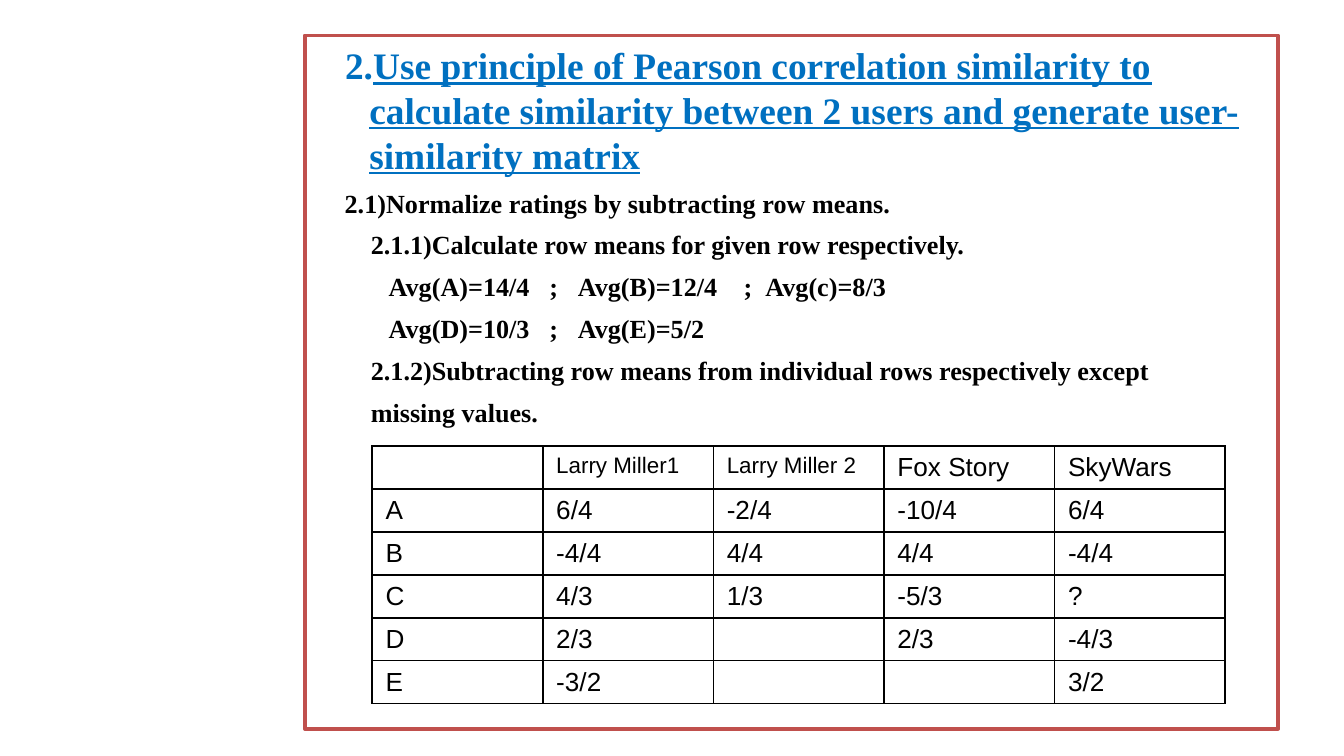
"""Build a slide on user similarity with a table of normalized ratings."""
import dataclasses
import typing

import lxml.etree
import pptx
import pptx.dml.color
import pptx.enum.shapes
import pptx.enum.text
import pptx.oxml.ns
import pptx.util

Pt = pptx.util.Pt
qn = pptx.oxml.ns.qn


@dataclasses.dataclass(frozen=True)
class Theme:
    heading_font: str = "Times New Roman"
    table_font: str = "Arial"
    heading_color: str = "0070C0"
    text_color: str = "000000"
    frame_color: str = "C0504D"
    heading_size: float = 20
    body_size: float = 14
    small_size: float = 12
    frame_width: float = 2
    border_width: float = 1
    space_before: float = 5.6
    line_spacing: float = 1.0


@dataclasses.dataclass(frozen=True)
class Box:
    left: float
    top: float
    width: float
    height: float

    def lengths(self) -> list[pptx.util.Length]:
        return [Pt(value) for value in dataclasses.astuple(self)]


@dataclasses.dataclass(frozen=True)
class Step:
    text: str
    indent: float
    extra_gaps: tuple[float, ...] = ()


THEME = Theme()
FRAME = Box(163.4, 19, 521.3, 371.5)
TABLE = Box(199.4, 239, 457, 138)
HEADING_MARGIN, HEADING_INDENT = 27.4, -13
LEVEL_INDENTS = (14.2, 28.2, 37.8)
HEADING_NUMBER = "2."
HEADING = (
    "Use principle of Pearson correlation similarity to calculate similarity "
    "between 2 users and generate user-similarity matrix"
)
STEPS = (
    Step("2.1)Normalize ratings by subtracting row means.", LEVEL_INDENTS[0]),
    Step("2.1.1)Calculate row means for given row respectively.", LEVEL_INDENTS[1]),
    Step("Avg(A)=14/4 ; Avg(B)=12/4 ; Avg(c)=8/3", LEVEL_INDENTS[2], (7, 7, 10.5, 3.5)),
    Step("Avg(D)=10/3 ; Avg(E)=5/2", LEVEL_INDENTS[2], (7, 7)),
    Step("2.1.2)Subtracting row means from individual rows respectively except", LEVEL_INDENTS[1]),
    Step("missing values.", LEVEL_INDENTS[1]),
)
RATINGS = (
    ("", "Larry Miller1", "Larry Miller 2", "Fox Story", "SkyWars"),
    ("A", "6/4", "-2/4", "-10/4", "6/4"),
    ("B", "-4/4", "4/4", "4/4", "-4/4"),
    ("C", "4/3", "1/3", "-5/3", "?"),
    ("D", "2/3", "", "2/3", "-4/3"),
    ("E", "-3/2", "", "", "3/2"),
)
SMALL_CELLS = ((0, 1), (0, 2))


def add_run(paragraph: typing.Any, text: str, color: str, **formats: typing.Any) -> typing.Any:
    run = paragraph.add_run()
    run.text = text
    for name, value in formats.items():
        setattr(run.font, name, value)
    run.font.color.rgb = pptx.dml.color.RGBColor.from_string(color)
    return run


def format_paragraph(paragraph: typing.Any, margin: float, indent: float) -> None:
    formats = {
        "alignment": pptx.enum.text.PP_ALIGN.LEFT,
        "space_before": Pt(THEME.space_before),
        "line_spacing": THEME.line_spacing,
    }
    for name, value in formats.items():
        setattr(paragraph, name, value)
    properties = paragraph._p.get_or_add_pPr()
    properties.set("marL", str(Pt(margin)))
    properties.set("indent", str(Pt(indent)))


def add_step(paragraph: typing.Any, step: Step, **font: typing.Any) -> None:
    format_paragraph(paragraph, 0, step.indent)
    if not step.extra_gaps:
        add_run(paragraph, step.text, THEME.text_color, **font)
        return
    first, *others = step.text.split(" ")
    add_run(paragraph, first, THEME.text_color, **font)
    for gap, word in zip(step.extra_gaps, others):
        space = add_run(paragraph, " ", THEME.text_color, **font)
        space._r.get_or_add_rPr().set("spc", str(int(gap * 100)))
        add_run(paragraph, word, THEME.text_color, **font)


def add_explanation(slide: typing.Any) -> None:
    shape = slide.shapes.add_shape(pptx.enum.shapes.MSO_SHAPE.RECTANGLE, *FRAME.lengths())
    shape.shadow.inherit = False
    shape.fill.background()
    shape.line.color.rgb = pptx.dml.color.RGBColor.from_string(THEME.frame_color)
    shape.line.width = Pt(THEME.frame_width)
    lxml.etree.SubElement(shape.line._ln, qn("a:round"))
    frame = shape.text_frame
    formats = {
        "word_wrap": True,
        "vertical_anchor": pptx.enum.text.MSO_ANCHOR.TOP,
        "margin_left": Pt(7.2),
        "margin_right": Pt(7.2),
        "margin_top": Pt(3.6),
        "margin_bottom": Pt(3.6),
    }
    for name, value in formats.items():
        setattr(frame, name, value)
    font = {"name": THEME.heading_font, "bold": True}
    heading = frame.paragraphs[0]
    format_paragraph(heading, HEADING_MARGIN, HEADING_INDENT)
    for text, underline in ((HEADING_NUMBER, False), (HEADING, True)):
        add_run(heading, text, THEME.heading_color, size=Pt(THEME.heading_size),
                underline=underline, **font)
    for step in STEPS:
        add_step(frame.add_paragraph(), step, size=Pt(THEME.body_size), **font)


def add_borders(cell: typing.Any) -> None:
    properties = cell._tc.get_or_add_tcPr()
    for position, side in enumerate(("a:lnL", "a:lnR", "a:lnT", "a:lnB")):
        line = lxml.etree.Element(qn(side), w=str(Pt(THEME.border_width)))
        fill = lxml.etree.SubElement(line, qn("a:solidFill"))
        lxml.etree.SubElement(fill, qn("a:srgbClr"), val=THEME.text_color)
        properties.insert(position, line)


def add_ratings(slide: typing.Any) -> None:
    table = slide.shapes.add_table(len(RATINGS), len(RATINGS[0]), *TABLE.lengths()).table
    table.first_row = table.horz_banding = False
    for row_index, row in enumerate(RATINGS):
        for column_index, text in enumerate(row):
            cell = table.cell(row_index, column_index)
            cell.fill.background()
            add_borders(cell)
            paragraph = cell.text_frame.paragraphs[0]
            small = not text or (row_index, column_index) in SMALL_CELLS
            size = THEME.small_size if small else THEME.body_size
            if text:
                add_run(paragraph, text, THEME.text_color, name=THEME.table_font, size=Pt(size))
            else:
                lxml.etree.SubElement(paragraph._p, qn("a:endParaRPr"), sz=str(int(size * 100)))


def main() -> None:
    presentation = pptx.Presentation()
    presentation.slide_width, presentation.slide_height = Pt(720), Pt(405)
    slide = presentation.slides.add_slide(presentation.slide_layouts[6])
    add_explanation(slide)
    add_ratings(slide)
    presentation.save("out.pptx")


if __name__ == "__main__":
    main()
